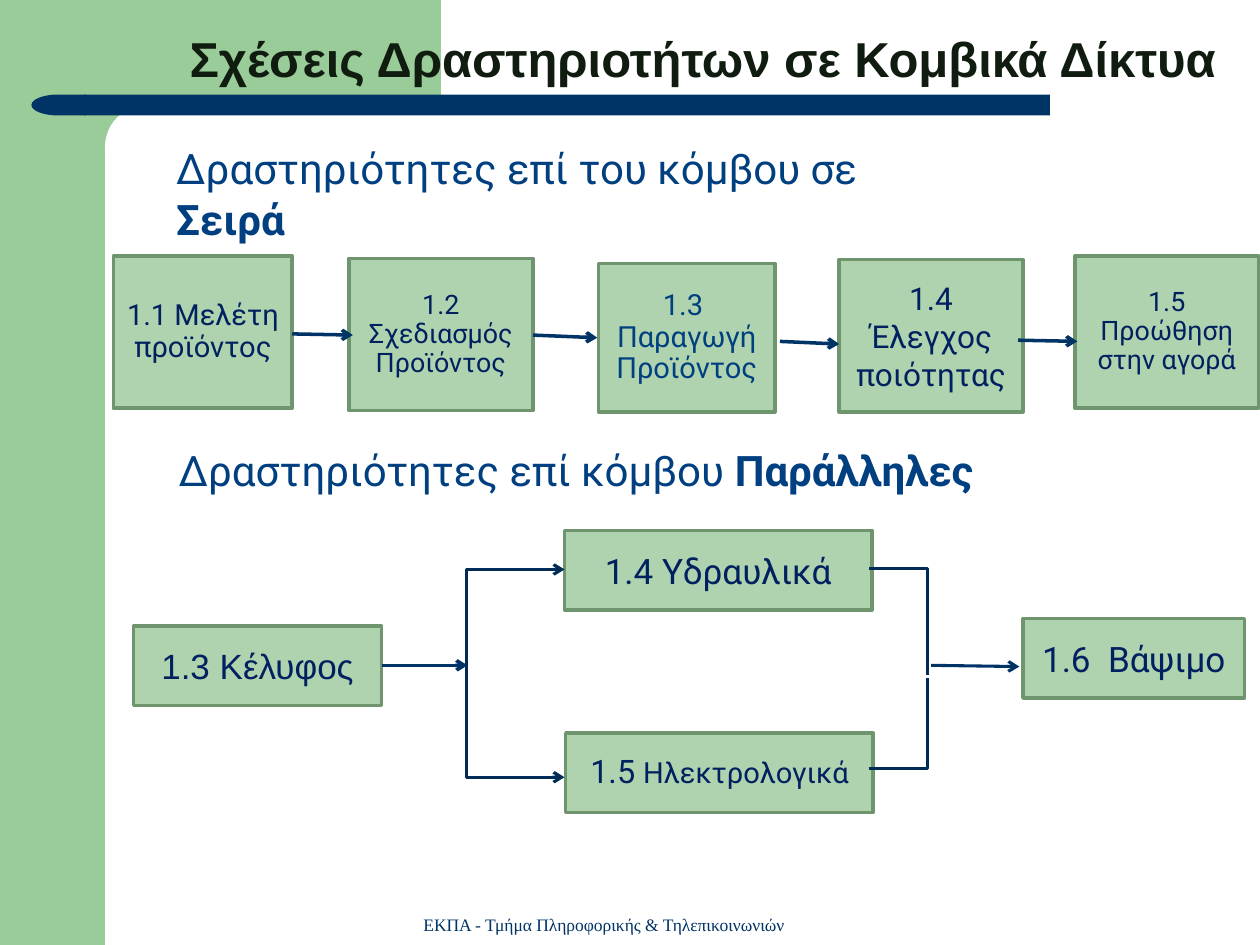
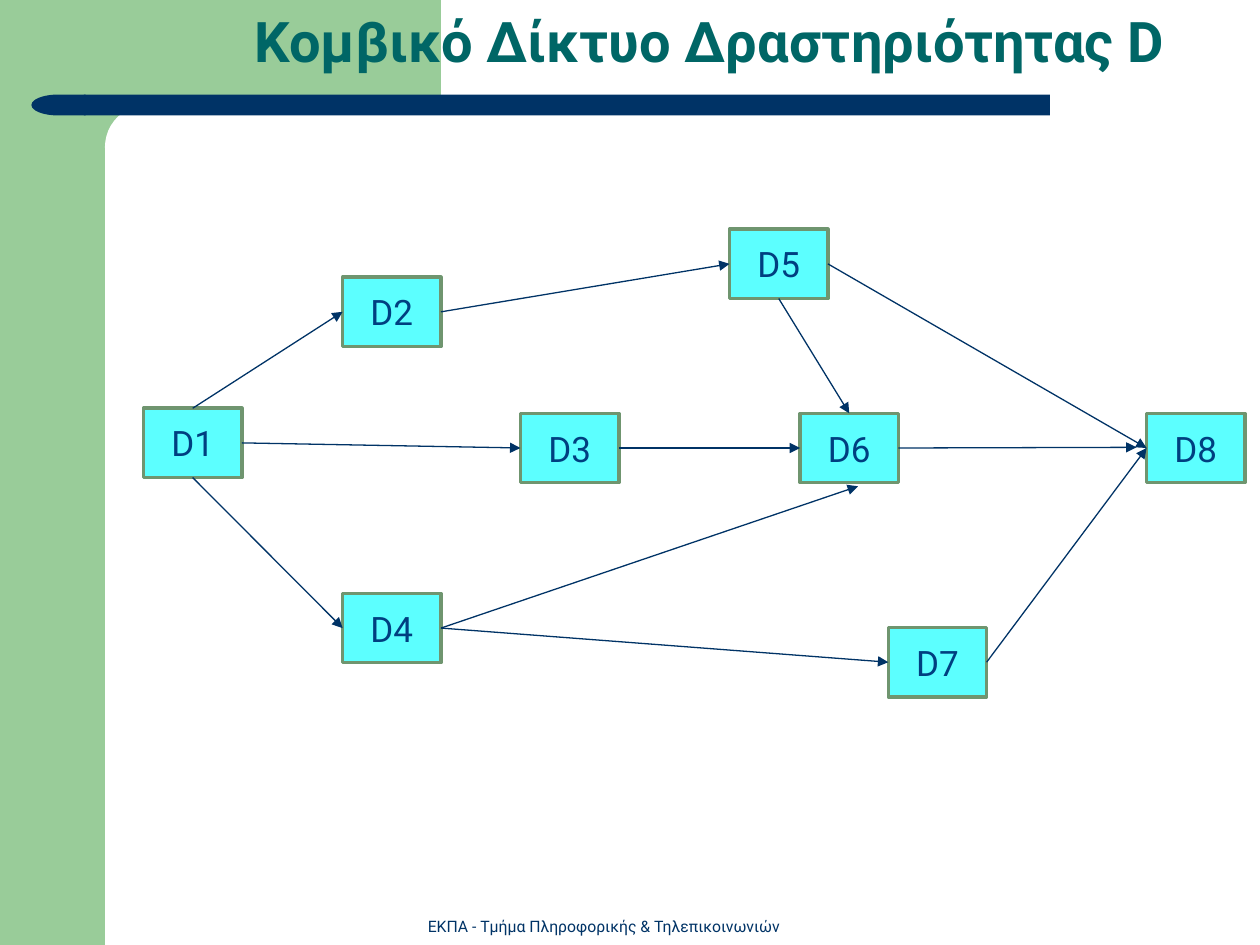
"""Builds two slides on activity relations in node networks."""
from dataclasses import dataclass
from typing import NamedTuple, Optional

from lxml import etree
from pptx import Presentation
from pptx.dml.color import RGBColor
from pptx.enum.shapes import MSO_CONNECTOR as Link, MSO_SHAPE as Geo
from pptx.enum.text import MSO_ANCHOR as Anchor, MSO_AUTO_SIZE as Fit, PP_ALIGN as Align
from pptx.oxml.ns import qn
from pptx.util import Pt


@dataclass(frozen=True)
class Theme:
    """Colours, fonts and type sizes of the deck."""
    band: str = "99CC99"
    paper: str = "FFFFFF"
    navy: str = "003366"
    elbow: str = "002B57"
    box: str = "AED3AE"
    node: str = "5CFFFF"
    edge: str = "6F956F"
    ink: str = "002060"
    blue: str = "003F80"
    dark: str = "0F1C0F"
    teal: str = "006666"
    main: str = "Roboto"
    sans: str = "Arial"
    serif: str = "Times New Roman"
    title: float = 28
    big_title: float = 32
    heading: float = 24
    label: float = 20
    step: float = 18
    number: float = 18.5
    compact: float = 16.6
    small: float = 15.3
    footer: float = 10
    small_footer: float = 9


T = Theme()


class Rect(NamedTuple):
    """Left, top, width and height in points."""
    x: float
    y: float
    w: float
    h: float


class Run(NamedTuple):
    """A piece of text with its own size or weight."""
    text: str
    size: Optional[float] = None
    bold: bool = False


class Box(NamedTuple):
    """A labelled activity box."""
    at: Rect
    runs: tuple
    size: float = T.label
    spacing: float = 1.0
    color: str = T.ink
    font: str = T.main


class Band(NamedTuple):
    """A decorative shape of the master."""
    geo: Geo
    at: Rect
    color: str
    adj: Optional[float] = None
    flip: bool = False


class Edge(NamedTuple):
    """An arrow between two nodes; a stop point replaces the end node's site."""
    start: str
    start_site: int
    end: str
    end_site: int
    stop: Optional[tuple] = None


TOP, LEFT, BOTTOM, RIGHT = range(4)
FOOTER = "ΕΚΠΑ - Τμήμα Πληροφορικής & Τηλεπικοινωνιών"

BANDS = [
    Band(Geo.RECTANGLE, Rect(0, 0, 60, 540), T.band),
    Band(Geo.RECTANGLE, Rect(54, 0, 198, 84), T.band),
    Band(Geo.ROUNDED_RECTANGLE, Rect(60, 60, 402, 48), T.paper, 0.5),
    Band(Geo.ROUNDED_RECTANGLE, Rect(48, 54, 552, 12), T.navy, 0),
    Band(Geo.FLOWCHART_DELAY, Rect(18, 54, 31, 12), T.navy, None, True),
]

BOXES = [
    Box(Rect(64.8, 146.2, 102.2, 87.1), ("1.1 Μελέτη προϊόντος",), T.compact, 0.9),
    Box(Rect(199.4, 147.6, 105.1, 87.1), ("1.2 Σχεδιασμός Προϊόντος",), T.small, 0.9),
    Box(Rect(342, 150.5, 100.8, 85), ("1.3 \nΠαραγωγή Προϊόντος",), T.compact, 0.9, T.blue),
    Box(Rect(479.5, 148.3, 105.1, 87.1), ("1.4 Έλεγχος ποιότητας",), T.step),
    Box(Rect(614.2, 146.2, 105.1, 87.1), ("1.5 Προώθηση στην αγορά",), T.small, 0.9),
    Box(Rect(76.3, 357.8, 141.8, 45.4), ("1.3 Κέλυφος",), font=T.sans),
    Box(Rect(322.6, 303.1, 175.7, 45.4), ("1.4 Υδραυλικά",)),
    Box(Rect(323.3, 419, 175.7, 45.4), ("1.5 ", Run("Ηλεκτρολογικά", T.compact)), T.number, 0.9),
    Box(Rect(584.6, 353.5, 126.7, 45.4), ("1.6  Βάψιμο",)),
]

ARROWS = [
    ((167, 190.8), (201.6, 191.5), 2),
    ((304.6, 191.5), (341.3, 193), 2),
    ((445.7, 195.1), (479.5, 196.6), 2),
    ((581.8, 194.4), (615.6, 195.1), 2),
    ((218.2, 380.2), (267.1, 380.2), 2),
    ((532.1, 380.2), (582.5, 380.9), 1.75),
]

ELBOWS = [
    ((322.6, 325.4), (266.4, 386.6), "headEnd"),
    ((322.6, 444.2), (266.4, 386.6), "headEnd"),
    ((496.8, 324.7), (529.9, 385.9), None),
    ((496.8, 439.2), (529.9, 387.4), None),
]

NODES = {
    "D1": (82, 233.3), "D2": (195.8, 158.4), "D3": (297.4, 236.2), "D4": (195.8, 339.1),
    "D5": (416.9, 131), "D6": (457.2, 236.2), "D7": (507.6, 358.6), "D8": (655.2, 236.2),
}

EDGES = [
    Edge("D1", TOP, "D2", LEFT),
    Edge("D1", RIGHT, "D3", LEFT),
    Edge("D1", BOTTOM, "D4", LEFT),
    Edge("D2", RIGHT, "D5", LEFT),
    Edge("D3", RIGHT, "D6", LEFT),
    Edge("D4", RIGHT, "D6", BOTTOM, (490.3, 277.9)),
    Edge("D4", RIGHT, "D7", LEFT),
    Edge("D5", BOTTOM, "D6", TOP),
    Edge("D5", RIGHT, "D8", LEFT),
    Edge("D6", RIGHT, "D8", LEFT, (649.4, 255.6)),
    Edge("D7", RIGHT, "D8", LEFT),
]


def rgb(color: str) -> RGBColor:
    """Turn a hex string into a colour."""
    return RGBColor.from_string(color)


def write(tf, *runs, size: float, color: str, font: str = T.main, bold: bool = False,
          align=Align.LEFT, anchor=Anchor.TOP, spacing: float = 1.0) -> None:
    """Fill a text frame; a line break in a run starts a new paragraph."""
    tf.word_wrap, tf.auto_size, tf.vertical_anchor = True, Fit.NONE, anchor
    tf.margin_left = tf.margin_right = Pt(7.2)
    tf.margin_top = tf.margin_bottom = Pt(3.6)
    p = tf.paragraphs[0]
    for run in runs:
        run = Run(run) if isinstance(run, str) else run
        for i, line in enumerate(run.text.split("\n")):
            p = tf.add_paragraph() if i else p
            p.alignment, p.line_spacing = align, spacing
            r = p.add_run()
            r.text = line
            r.font.size, r.font.name = Pt(run.size or size), font
            r.font.bold = bold or run.bold
            r.font.color.rgb = rgb(color)


def add_shape(s, geo, at: Rect, fill: str, line: Optional[str] = None):
    """Add a flat preset shape, outlined if a line colour is given."""
    sp = s.shapes.add_shape(geo, *map(Pt, at))
    sp.shadow.inherit = False
    sp.fill.solid()
    sp.fill.fore_color.rgb = rgb(fill)
    if line:
        sp.line.color.rgb, sp.line.width = rgb(line), Pt(2)
    else:
        sp.line.fill.background()
    return sp


def add_text(s, at: Rect, *runs, **fmt) -> None:
    """Add a text box."""
    write(s.shapes.add_textbox(*map(Pt, at)).text_frame, *runs, **fmt)


def add_box(s, box: Box, fill: str):
    """Add an outlined box with a centred label."""
    sp = add_shape(s, Geo.RECTANGLE, box.at, fill, T.edge)
    write(sp.text_frame, *box.runs, size=box.size, color=box.color, font=box.font,
          align=Align.CENTER, anchor=Anchor.MIDDLE, spacing=box.spacing)
    return sp


def add_line(s, start: tuple, end: tuple, width: float, color: str = T.navy,
             tip: Optional[str] = "tailEnd", tip_type: str = "arrow", elbow: bool = False):
    """Add a straight or single-bend connector with an optional arrowhead."""
    cx = s.shapes.add_connector(Link.ELBOW if elbow else Link.STRAIGHT,
                                *map(Pt, (*start, *end)))
    cx.line.color.rgb, cx.line.width = rgb(color), Pt(width)
    pr = cx._element.spPr
    if elbow:
        pr.find(qn("a:prstGeom")).set("prst", "bentConnector2")
    if tip:
        etree.SubElement(pr.find(qn("a:ln")), qn(f"a:{tip}"), type=tip_type)
    etree.SubElement(pr, qn("a:effectLst"))
    return cx


def add_bands(prs, s) -> None:
    """Draw the decorative bands and move them to the master."""
    for i, band in enumerate(BANDS):
        sp = add_shape(s, band.geo, band.at, band.color)
        if band.adj is not None:
            sp.adjustments[0] = band.adj
        if band.flip:
            sp._element.spPr.find(qn("a:xfrm")).set("flipH", "1")
        sp._element.nvSpPr.cNvPr.set("id", str(20 + i))
        prs.slide_master.shapes._spTree.append(sp._element)


def add_slide(prs, at: Rect, title: str, **fmt):
    """Add a slide with its title placed and formatted."""
    s = prs.slides.add_slide(prs.slide_layouts[5])
    sp = s.shapes.title
    sp.left, sp.top, sp.width, sp.height = map(Pt, at)
    write(sp.text_frame, title, bold=True, **fmt)
    return s


def add_footer(s, at: Rect, size: float, font: str) -> None:
    """Add the department line at the bottom."""
    add_text(s, at, FOOTER, size=size, font=font, color=T.navy,
             align=Align.CENTER, anchor=Anchor.BOTTOM)


def build_relations(prs) -> None:
    """Build the slide with serial and parallel activities."""
    s = add_slide(prs, Rect(24, 18, 678, 36), "Σχέσεις Δραστηριοτήτων σε Κομβικά Δίκτυα",
                  size=T.title, color=T.dark, font=T.sans, align=Align.RIGHT,
                  anchor=Anchor.BOTTOM, spacing=0.9)
    add_bands(prs, s)
    add_footer(s, Rect(231, 518.4, 228, 19.4), T.footer, T.serif)
    for at, text, kind in (
        (Rect(93.6, 78, 465, 65), "Δραστηριότητες επί του κόμβου σε ", "Σειρά"),
        (Rect(95, 250.6, 481, 65), "Δραστηριότητες επί κόμβου ", "Παράλληλες"),
    ):
        add_text(s, at, text, Run(kind, bold=True), size=T.heading, color=T.blue)
    for box in BOXES:
        add_box(s, box, T.box)
    for start, end, width in ARROWS:
        add_line(s, start, end, width)
    for start, end, tip in ELBOWS:
        add_line(s, start, end, 1.75, T.elbow, tip, elbow=True)


def build_network(prs) -> None:
    """Build the slide with the node network of activity D."""
    s = add_slide(prs, Rect(138.2, 0, 573.8, 84), "Κομβικό Δίκτυο Δραστηριότητας D",
                  size=T.big_title, color=T.teal)
    add_footer(s, Rect(231, 520, 228, 18), T.small_footer, T.main)
    nodes = {name: add_box(s, Box(Rect(*at, 56.2, 39.6), (name,), color=T.blue), T.node)
             for name, at in NODES.items()}
    for edge in EDGES:
        cx = add_line(s, NODES[edge.start], edge.stop or NODES[edge.end], 0.75,
                      tip_type="triangle")
        cx.begin_connect(nodes[edge.start], edge.start_site)
        if not edge.stop:
            cx.end_connect(nodes[edge.end], edge.end_site)


def main() -> None:
    """Build and save the deck."""
    prs = Presentation()
    prs.slide_width, prs.slide_height = Pt(720), Pt(540)
    build_relations(prs)
    build_network(prs)
    prs.save("out.pptx")


if __name__ == "__main__":
    main()
